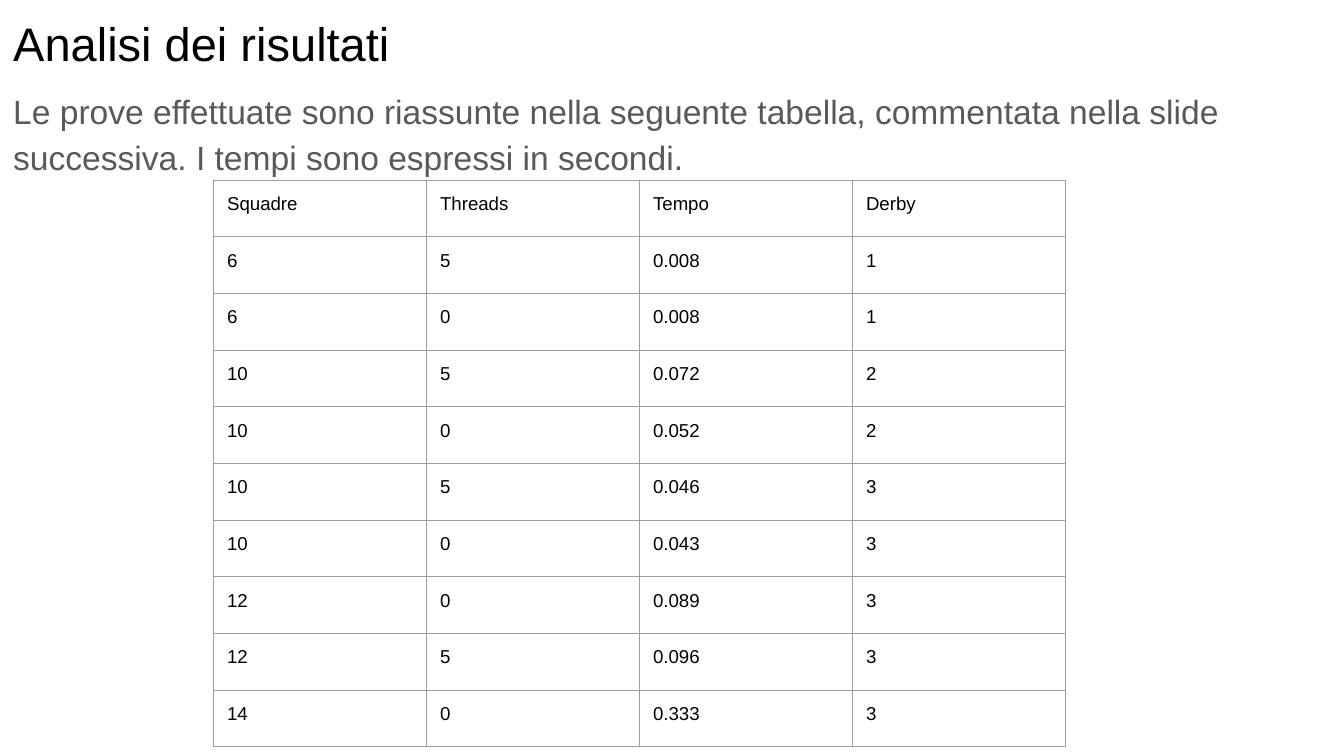
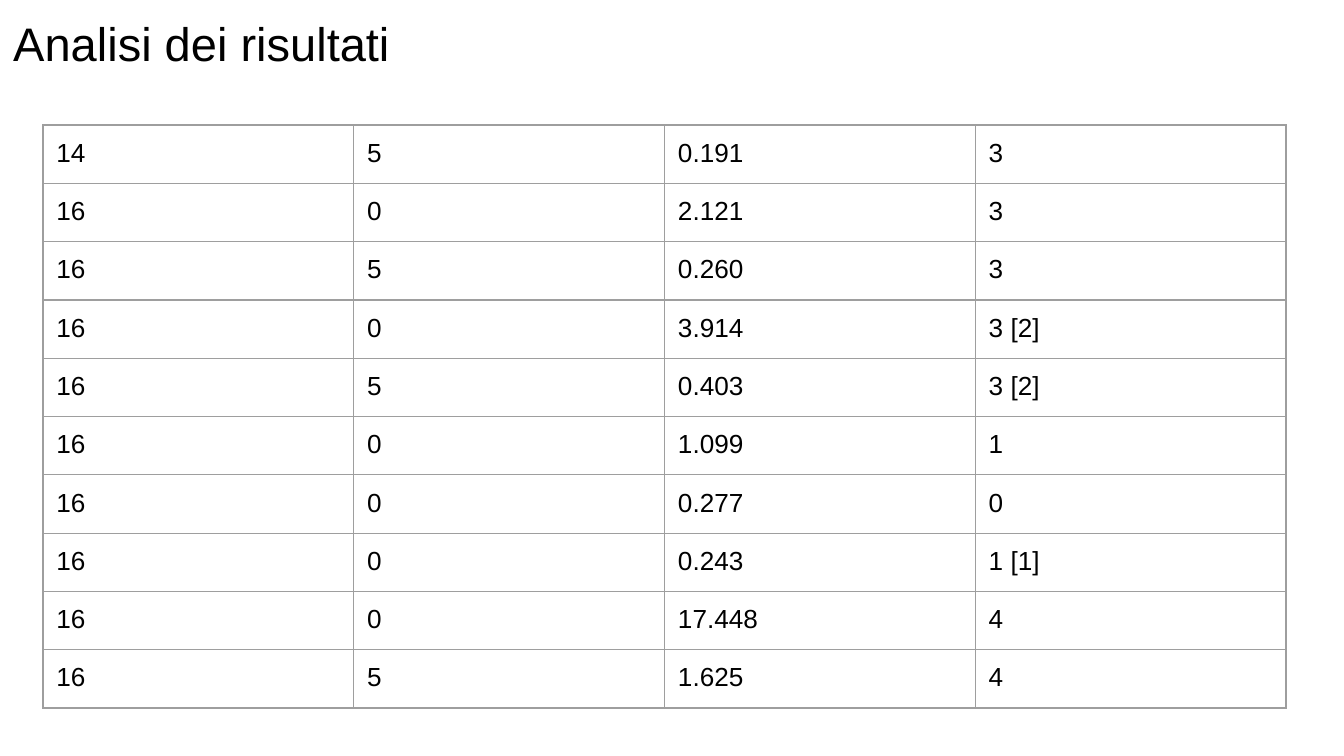
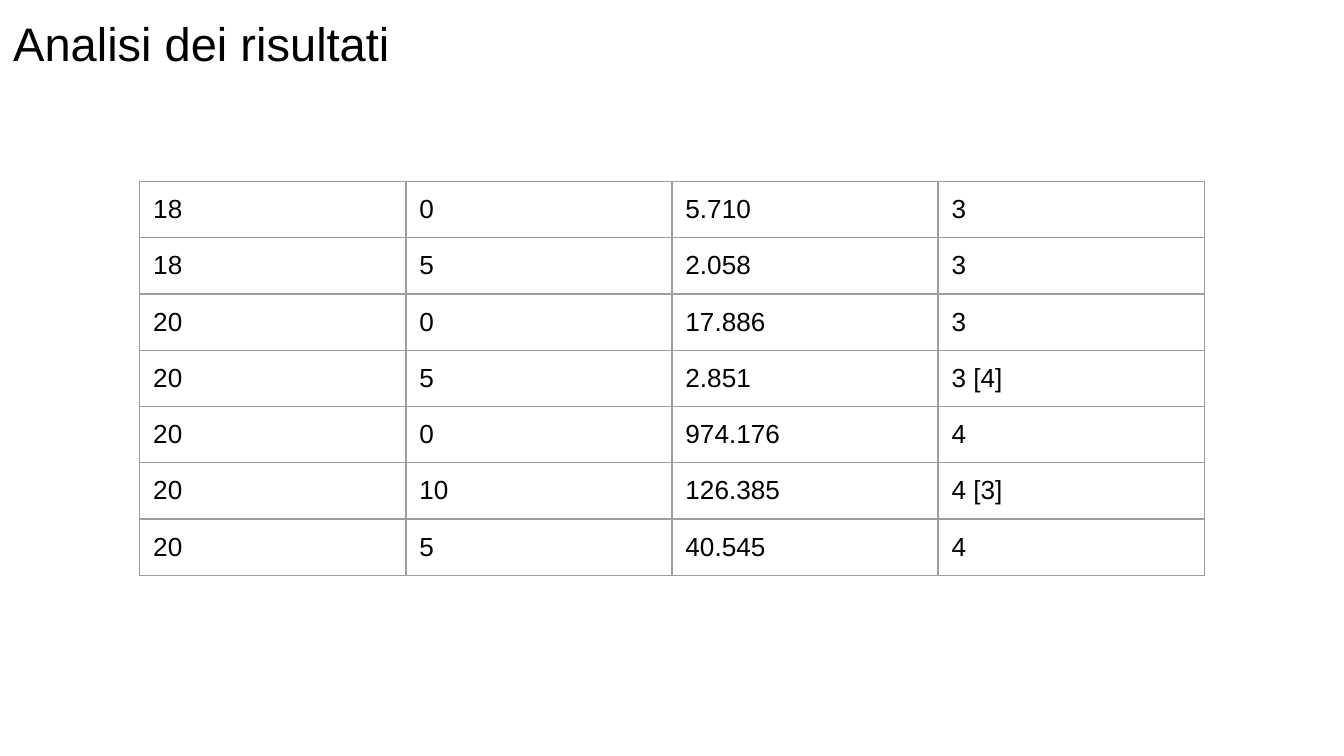
from dataclasses import dataclass

from lxml.etree import SubElement
from pptx import Presentation
from pptx.dml.color import RGBColor as RGB
from pptx.enum.text import MSO_ANCHOR as Anchor
from pptx.oxml.ns import qn
from pptx.util import Inches, Pt

TITLE = "Analisi dei risultati"
INTRO = ("Le prove effettuate sono riassunte nella seguente tabella, commentata "
         "nella slide successiva. I tempi sono espressi in secondi.")

# box: left, top, width, height in inches
SLIDES = [
    {"title_width": 10, "intro": INTRO, "box": (1.59, 1.34, 6.34, 4.22), "size": 10,
     "rows": [
         ("Squadre", "Threads", "Tempo", "Derby"),
         ("6", "5", "0.008", "1"),
         ("6", "0", "0.008", "1"),
         ("10", "5", "0.072", "2"),
         ("10", "0", "0.052", "2"),
         ("10", "5", "0.046", "3"),
         ("10", "0", "0.043", "3"),
         ("12", "0", "0.089", "3"),
         ("12", "5", "0.096", "3"),
         ("14", "0", "0.333", "3"),
     ]},
    {"title_width": 9.32, "box": (0.32, 0.93, 9.25, 4.34), "size": 14,
     "rows": [
         ("14", "5", "0.191", "3"),
         ("16", "0", "2.121", "3"),
         ("16", "5", "0.260", "3"),
         ("16", "0", "3.914", "3 [2]"),
         ("16", "5", "0.403", "3 [2]"),
         ("16", "0", "1.099", "1"),
         ("16", "0", "0.277", "0"),
         ("16", "0", "0.243", "1 [1]"),
         ("16", "0", "17.448", "4"),
         ("16", "5", "1.625", "4"),
     ]},
    {"title_width": 10, "box": (1.04, 1.35, 7.92, 2.93), "size": 14, "bottom": 0.08,
     "rows": [
         ("18", "0", "5.710", "3"),
         ("18", "5", "2.058", "3"),
         ("20", "0", "17.886", "3"),
         ("20", "5", "2.851", "3 [4]"),
         ("20", "0", "974.176", "4"),
         ("20", "10", "126.385", "4 [3]"),
         ("20", "5", "40.545", "4"),
     ]},
]


@dataclass(frozen=True)
class Theme:
    font: str = "Arial"
    text: str = "000000"
    muted: str = "595959"
    border: str = "9E9E9E"
    border_width: float = 0.75
    title_size: float = 25.2
    intro_size: float = 18
    intro_spacing: float = 1.15
    inset: float = 0.1


THEME = Theme()


def set_insets(target, bottom=THEME.inset):
    for side in ("left", "right", "top"):
        setattr(target, f"margin_{side}", Inches(THEME.inset))
    target.margin_bottom = Inches(bottom)


def write(tf, text, size, color):
    p = tf.paragraphs[0]
    r = p.add_run()
    r.text = text
    for name, value in {"name": THEME.font, "size": Pt(size)}.items():
        setattr(r.font, name, value)
    r.font.color.rgb = RGB.from_string(color)
    return p


def add_text(slide, box, text, size, color, anchor=Anchor.TOP):
    tf = slide.shapes.add_textbox(*map(Inches, box)).text_frame
    tf.word_wrap = True
    tf.vertical_anchor = anchor
    set_insets(tf)
    return write(tf, text, size, color)


def add_borders(cell):
    tc_pr = cell._tc.get_or_add_tcPr()
    for i, side in enumerate(("lnL", "lnR", "lnT", "lnB")):
        ln = SubElement(tc_pr, qn(f"a:{side}"), w=str(Pt(THEME.border_width)))
        fill = SubElement(ln, qn("a:solidFill"))
        SubElement(fill, qn("a:srgbClr"), val=THEME.border)
        tc_pr.insert(i, ln)  # lines come before the cell fill


def add_results(slide, box, size, rows, bottom):
    left, top, width, height = map(Inches, box)
    table = slide.shapes.add_table(len(rows), len(rows[0]), left, top, width, height).table
    table.first_row = table.horz_banding = False
    for col in table.columns:
        col.width = width // len(rows[0])
    for row, values in zip(table.rows, rows):
        row.height = height // len(rows)
        for cell, value in zip(row.cells, values):
            cell.fill.background()
            set_insets(cell, bottom)
            add_borders(cell)
            write(cell.text_frame, value, size, THEME.text)


def main():
    prs = Presentation()
    prs.slide_width = Inches(10)
    prs.slide_height = prs.slide_width * 9 // 16
    for content in SLIDES:
        slide = prs.slides.add_slide(prs.slide_layouts[6])
        add_text(slide, (0, 0, content["title_width"], 0.63), TITLE,
                 THEME.title_size, THEME.text, Anchor.MIDDLE)
        if "intro" in content:
            p = add_text(slide, (0, 0.53, 10, 5.04), content["intro"],
                         THEME.intro_size, THEME.muted)
            p.line_spacing = THEME.intro_spacing
        add_results(slide, content["box"], content["size"], content["rows"],
                    content.get("bottom", THEME.inset))
    prs.save("out.pptx")


if __name__ == "__main__":
    main()
